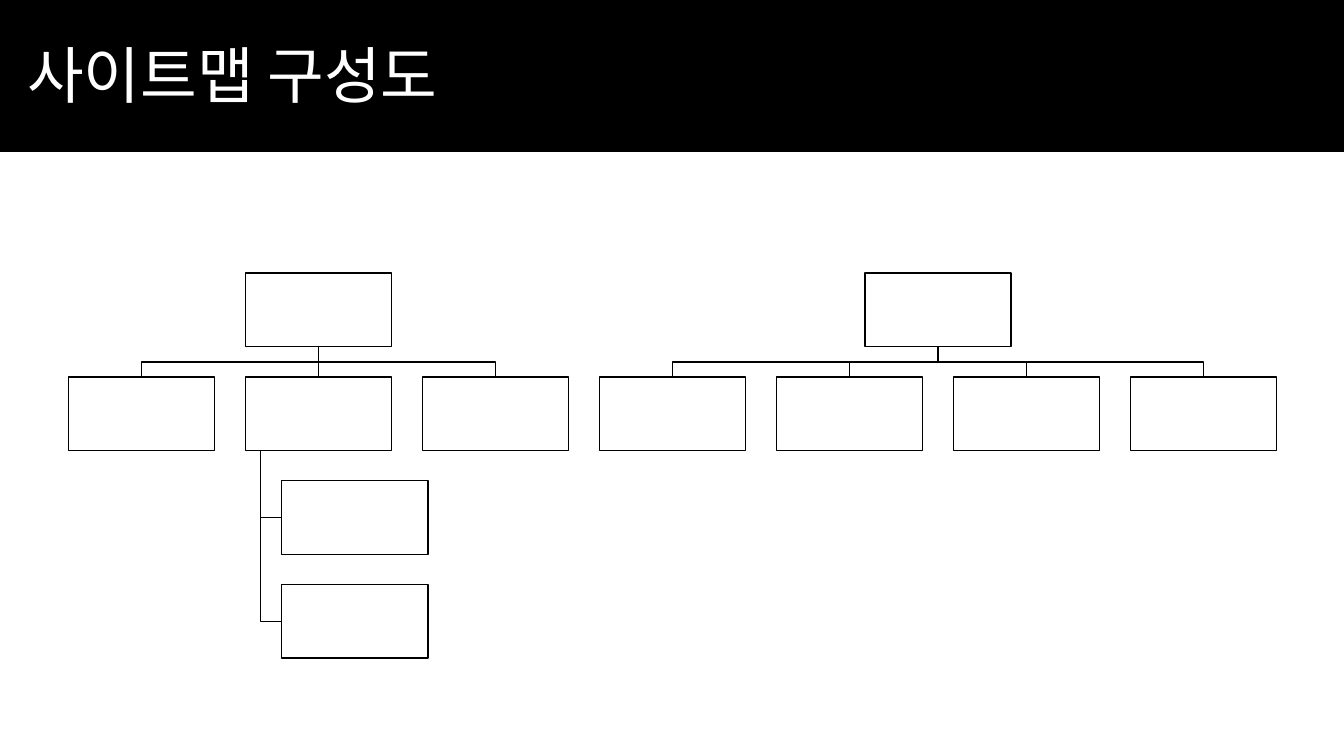
from dataclasses import dataclass
from typing import Any

from lxml.etree import SubElement
from pptx import Presentation
from pptx.dml.color import RGBColor as Color
from pptx.enum.shapes import MSO_CONNECTOR as Link
from pptx.enum.shapes import MSO_SHAPE as Kind
from pptx.enum.text import MSO_ANCHOR as Anchor
from pptx.oxml.ns import qn
from pptx.util import Inches, Pt


@dataclass(frozen=True)
class Theme:
    ink: Color = Color(0, 0, 0)
    paper: Color = Color(255, 255, 255)
    font: str = "Noto Sans CJK KR"
    title: Pt = Pt(44)
    line: Pt = Pt(1)


@dataclass(frozen=True)
class Box:
    col: float
    row: int
    shift: float = 0

    @property
    def left(self) -> float:
        return LEFT + self.col * STEP + self.shift

    @property
    def top(self) -> float:
        return TOP + self.row * DROP

    @property
    def mid(self) -> float:
        return self.left + WIDE / 2

    @property
    def base(self) -> float:
        return self.top + HIGH


@dataclass(frozen=True)
class Tree:
    root: Box
    kids: tuple[Box, ...]


THEME = Theme()
LEFT, TOP = 0.68, 2.71
WIDE, HIGH = 1.45, 0.73
STEP, DROP = 10.53 / 6, 1.03
INDENT, TRUNK = 0.36, 0.15


def grow(first: int, last: int) -> Tree:
    kids = tuple(Box(col, 1) for col in range(first, last + 1))
    return Tree(Box((first + last) / 2, 0), kids)


def style(item: Any, values: dict[str, Any]) -> None:
    for name, value in values.items():
        setattr(item, name, value)


def ink(line: Any) -> None:
    line.color.rgb = THEME.ink
    line.width = THEME.line


def rect(slide: Any, left: float, top: float, wide: float, high: float,
         fill: Color) -> Any:
    shape = slide.shapes.add_shape(
        Kind.RECTANGLE, Inches(left), Inches(top), Inches(wide), Inches(high))
    shape.shadow.inherit = False
    shape.fill.solid()
    shape.fill.fore_color.rgb = fill
    ink(shape.line)
    return shape


def route(slide: Any, points: list[tuple[float, float]]) -> None:
    start, *rest = [(Inches(x), Inches(y)) for x, y in points]
    pen = slide.shapes.build_freeform(*start)
    pen.add_line_segments(rest, close=False)
    shape = pen.convert_to_shape()
    shape.shadow.inherit = False
    shape.fill.background()
    ink(shape.line)


def stem(slide: Any, root: Box, kid: Box) -> Any:
    link = slide.shapes.add_connector(
        Link.STRAIGHT, Inches(root.mid), Inches(root.base),
        Inches(kid.mid), Inches(kid.top))
    ink(link.line)
    SubElement(link._element.spPr, qn("a:effectLst"))
    return link


def header(slide: Any, text: str) -> None:
    rect(slide, 0, 0, 13.33, 1.5, THEME.ink)
    frame = slide.shapes.add_textbox(
        Inches(0.17), Inches(0.35), Inches(7.17), Inches(0.81)).text_frame
    style(frame, {"word_wrap": True, "vertical_anchor": Anchor.BOTTOM})
    para = frame.paragraphs[0]
    para.line_spacing = 0.9
    run = para.add_run()
    run.text = text
    style(run.font, {"size": THEME.title, "name": THEME.font})
    run.font.color.rgb = THEME.paper
    SubElement(run._r.get_or_add_rPr(), qn("a:ea"), typeface=THEME.font)


def main() -> None:
    deck = Presentation()
    style(deck, {"slide_width": Inches(13.33), "slide_height": Inches(7.5)})
    slide = deck.slides.add_slide(deck.slide_layouts[6])

    trees = [grow(0, 2), grow(3, 6)]
    host = trees[0].kids[1]
    leaves = [Box(host.col, row, INDENT) for row in (2, 3)]
    stems = []
    for tree in trees:
        root = tree.root
        for kid in tree.kids:
            if kid.col == root.col:
                stems.append((stem(slide, root, kid), root, kid))
                continue
            bend = (root.base + kid.top) / 2
            route(slide, [(root.mid, root.base), (root.mid, bend),
                          (kid.mid, bend), (kid.mid, kid.top)])
    trunk = host.left + TRUNK
    for leaf in leaves:
        mid = leaf.top + HIGH / 2
        route(slide, [(trunk, host.base), (trunk, mid), (leaf.left, mid)])

    boxes = [box for tree in trees for box in (tree.root, *tree.kids)]
    drawn = {box: rect(slide, box.left, box.top, WIDE, HIGH, THEME.paper)
             for box in boxes + leaves}
    for link, root, kid in stems:
        link.begin_connect(drawn[root], 2)
        link.end_connect(drawn[kid], 0)

    header(slide, "사이트맵 구성도")
    deck.save("out.pptx")


if __name__ == "__main__":
    main()
